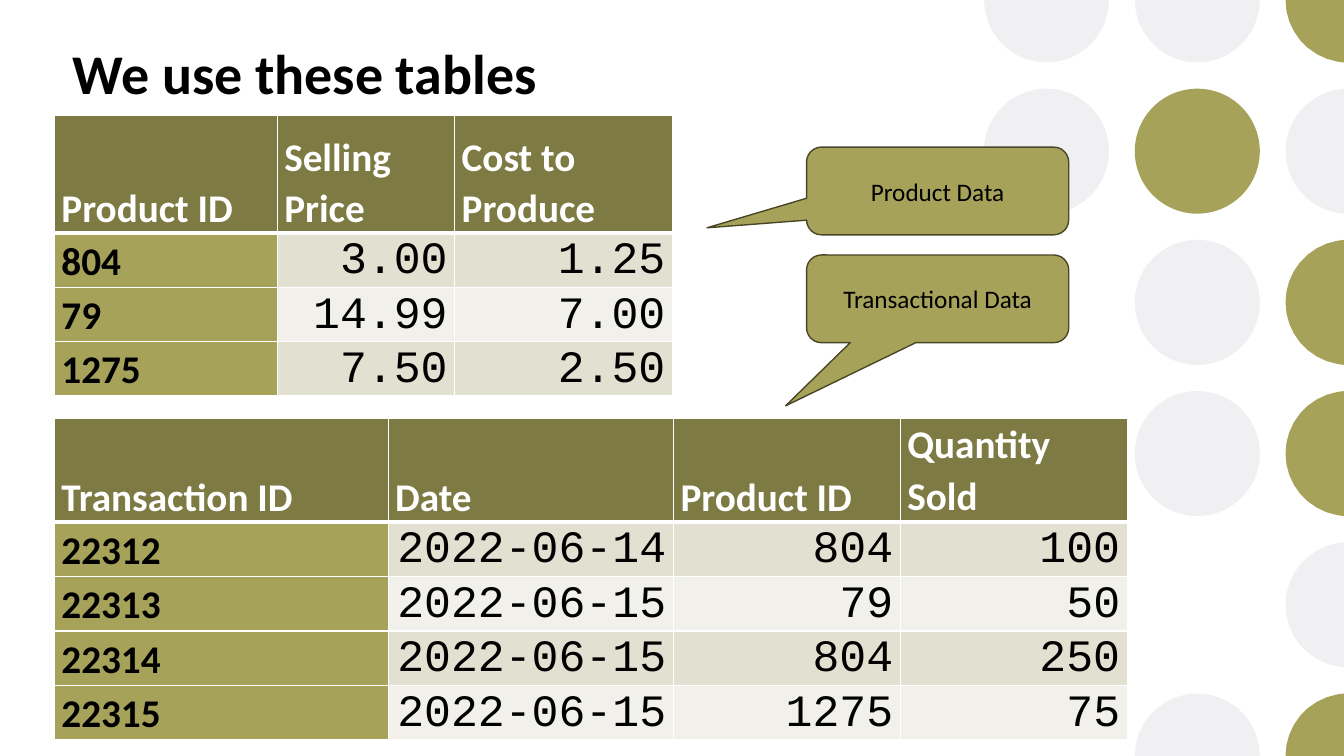
import math
from dataclasses import dataclass

from lxml import etree
from pptx import Presentation
from pptx import util as u
from pptx.dml.color import RGBColor
from pptx.enum import shapes, text
from pptx.oxml import ns


@dataclass(frozen=True)
class Theme:
    black: str = "000000"
    white: str = "FFFFFF"
    gray: str = "F0F0F3"
    olive: str = "A7A259"
    header: str = "7D7A43"
    outline: str = "494727"
    bands: tuple = ("E1E0D1", "F1F0EA")
    body_font: str = "Calibri"
    data_font: str = "Courier New"
    title_size: int = 40
    data_size: int = 32
    label_size: int = 28
    callout_size: int = 18


theme = Theme()


def write(frame, words, size, color=theme.black, font=theme.body_font, bold=False,
          align=text.PP_ALIGN.LEFT, spacing=None):
    para = frame.paragraphs[0]
    para.alignment = align
    para.line_spacing = spacing
    span = para.add_run()
    span.text = words
    span.font.size = u.Pt(size)
    span.font.name = font
    span.font.bold = bold
    span.font.color.rgb = RGBColor.from_string(color)


def set_borders(cell, top, bottom):
    props = cell._tc.get_or_add_tcPr()
    for side, width in (("L", 1), ("R", 1), ("T", top), ("B", bottom)):
        line = etree.SubElement(props, ns.qn(f"a:ln{side}"), w=str(u.Pt(width)))
        fill = etree.SubElement(line, ns.qn("a:solidFill"))
        etree.SubElement(fill, ns.qn("a:srgbClr"), val=theme.white)


deck = Presentation()
deck.slide_width = u.Inches(13.33)
deck.slide_height = u.Inches(7.5)
page = deck.slides.add_slide(deck.slide_layouts[5])

radius = u.Inches(0.62)
tolerance = u.Inches(0.05)
circle_columns = ["GG", "GOGG-G", "OGOOGO"]
circle_colors = {"G": theme.gray, "O": theme.olive}
for column, pattern in enumerate(circle_columns):
    for row, key in enumerate(pattern):
        if key not in circle_colors:
            continue
        center_x = u.Inches(10.38 + 1.495 * column)
        center_y = u.Inches(1.5 * row)
        inside_x = center_x + radius <= deck.slide_width
        inside_y = radius <= center_y <= deck.slide_height - radius
        if inside_x and inside_y:
            circle = page.shapes.add_shape(shapes.MSO_SHAPE.OVAL, center_x - radius,
                                           center_y - radius, 2 * radius, 2 * radius)
        else:
            points = []
            for degree in range(0, 360, 10):
                x = center_x + radius * math.cos(math.radians(degree))
                y = center_y + radius * math.sin(math.radians(degree))
                point = (round(min(x, deck.slide_width)),
                         round(min(max(y, 0), deck.slide_height)))
                off_x = abs(x - point[0]) > tolerance
                off_y = abs(y - point[1]) > tolerance
                if off_x == off_y and point not in points:
                    points.append(point)
            builder = page.shapes.build_freeform(*points[0])
            builder.add_line_segments(points[1:], close=True)
            circle = builder.convert_to_shape()
        circle.shadow.inherit = False
        circle.fill.solid()
        circle.fill.fore_color.rgb = RGBColor.from_string(circle_colors[key])
        circle.line.fill.background()

title = page.shapes.title
title.left, title.top = u.Inches(0.62), u.Inches(0.28)
title.width, title.height = u.Inches(8.02), u.Inches(0.87)
title.text_frame.vertical_anchor = text.MSO_ANCHOR.MIDDLE
write(title.text_frame, "We use these tables", theme.title_size, bold=True)

products = [
    ["Product ID", "Selling Price", "Cost to Produce"],
    ["804", "3.00", "1.25"],
    ["79", "14.99", "7.00"],
    ["1275", "7.50", "2.50"],
]
transactions = [
    ["Transaction ID", "Date", "Product ID", "Quantity Sold"],
    ["22312", "2022-06-14", "804", "100"],
    ["22313", "2022-06-15", "79", "50"],
    ["22314", "2022-06-15", "804", "250"],
    ["22315", "2022-06-15", "1275", "75"],
]
tables = [
    (products, 1.14, [2.21, 1.76, 2.16], 1.17),
    (transactions, 4.15, [3.31, 2.83, 2.25, 2.25], 1.03),
]
row_height = 0.54
for records, top, widths, header_height in tables:
    height = header_height + row_height * (len(records) - 1)
    table = page.shapes.add_table(len(records), len(widths), u.Inches(0.54), u.Inches(top),
                                  u.Inches(sum(widths)), u.Inches(height)).table
    for column, width in zip(table.columns, widths):
        column.width = u.Inches(width)
    for row, record in enumerate(records):
        table.rows[row].height = u.Inches(row_height if row else header_height)
        for column, value in enumerate(record):
            cell = table.cell(row, column)
            cell.margin_left = cell.margin_right = u.Inches(0.07)
            cell.margin_top = cell.margin_bottom = 0
            if row == 0:
                fill, anchor = theme.header, text.MSO_ANCHOR.BOTTOM
                style = dict(size=theme.label_size, color=theme.white, bold=True)
            elif column == 0:
                fill, anchor = theme.olive, text.MSO_ANCHOR.MIDDLE
                style = dict(size=theme.label_size, bold=True)
            else:
                fill, anchor = theme.bands[(row - 1) % 2], text.MSO_ANCHOR.TOP
                style = dict(size=theme.data_size, font=theme.data_font,
                             align=text.PP_ALIGN.RIGHT)
            if value == "Quantity Sold":
                anchor = text.MSO_ANCHOR.TOP
            cell.vertical_anchor = anchor
            set_borders(cell, top=3 if row == 1 else 1, bottom=1 if row else 3)
            cell.fill.solid()
            cell.fill.fore_color.rgb = RGBColor.from_string(fill)
            write(cell.text_frame, value, spacing=1.07, **style)

callouts = [
    ("Product Data", 1.46, (-0.88, 0.42, 0.17)),
    ("Transactional Data", 2.53, (-0.58, 1.22, 0.17)),
]
for words, top, pointer in callouts:
    box = page.shapes.add_shape(shapes.MSO_SHAPE.ROUNDED_RECTANGULAR_CALLOUT, u.Inches(8),
                                u.Inches(top), u.Inches(2.6), u.Inches(0.87))
    for index, value in enumerate(pointer):
        box.adjustments[index] = value
    box.shadow.inherit = False
    box.fill.solid()
    box.fill.fore_color.rgb = RGBColor.from_string(theme.olive)
    box.line.color.rgb = RGBColor.from_string(theme.outline)
    box.line.width = u.Pt(1)
    box.text_frame.vertical_anchor = text.MSO_ANCHOR.MIDDLE
    write(box.text_frame, words, theme.callout_size, align=text.PP_ALIGN.CENTER)

deck.save("out.pptx")
